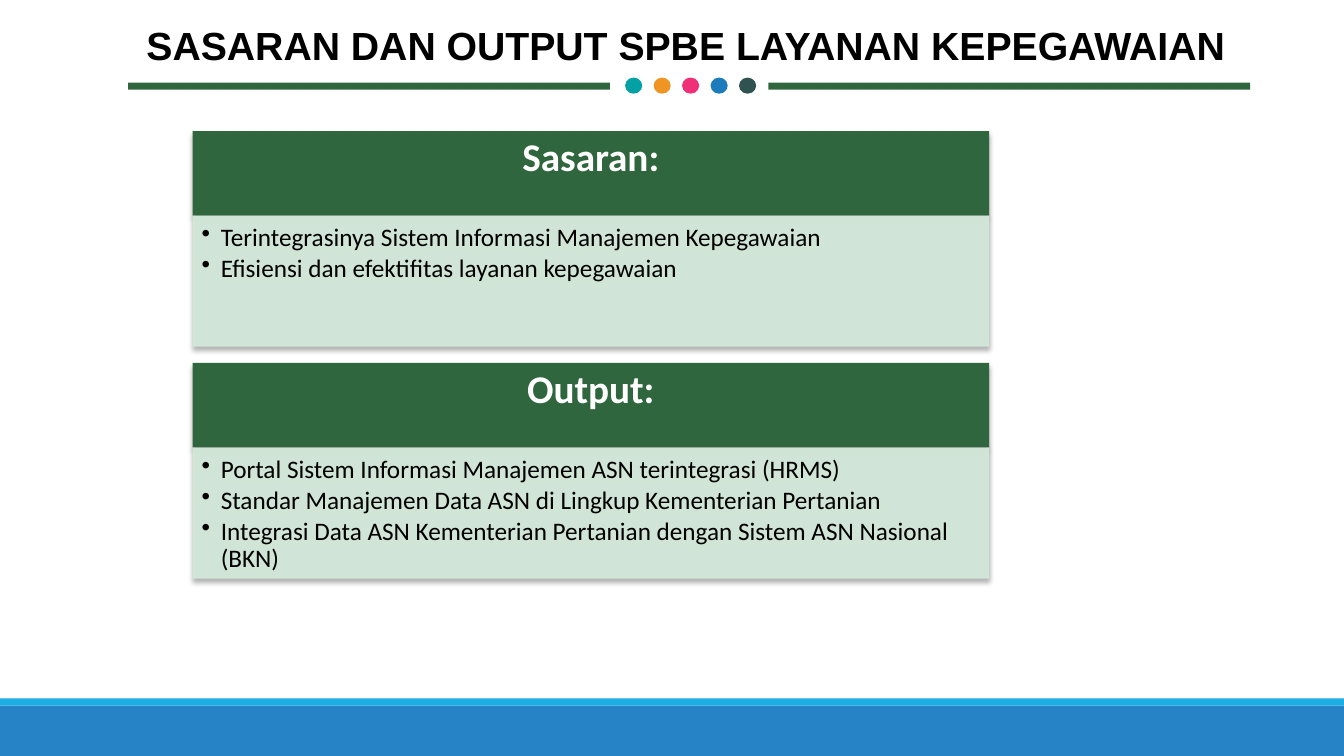
from lxml import etree
from pptx import Presentation
from pptx.dml.color import RGBColor
from pptx.enum.shapes import MSO_SHAPE
from pptx.enum.text import MSO_ANCHOR, PP_ALIGN
from pptx.oxml.ns import qn
from pptx.util import Inches, Pt

RECTANGLE, OVAL = MSO_SHAPE.RECTANGLE, MSO_SHAPE.OVAL
TOP = MSO_ANCHOR.TOP
LEFT, CENTER = PP_ALIGN.LEFT, PP_ALIGN.CENTER

GREEN, MINT = "2F663E", "D4EBDB"
DOT_COLORS = ["03A1A4", "EE9524", "EF3078", "1C7CBB", "305250"]
PANEL_LEFT, PANEL_WIDTH = 1.91, 7.9
HEADER_HEIGHT, BODY_HEIGHT = 0.84, 1.3
PANELS = [
    (1.3, "Sasaran:", [
        "Terintegrasinya Sistem Informasi Manajemen Kepegawaian",
        "Efisiensi dan efektifitas layanan kepegawaian",
    ]),
    (3.6, "Output:", [
        "Portal Sistem Informasi Manajemen ASN terintegrasi (HRMS)",
        "Standar Manajemen Data ASN di Lingkup Kementerian Pertanian",
        "Integrasi Data ASN Kementerian Pertanian dengan Sistem ASN Nasional (BKN)",
    ]),
]


def color(value):
    """Turn a hex string into a colour."""
    return RGBColor.from_string(value)


def add_block(slide, left, top, width, height, fill, kind=RECTANGLE):
    """Add a plain filled shape without outline or shadow."""
    shape = slide.shapes.add_shape(
        kind, Inches(left), Inches(top), Inches(width), Inches(height))
    shape.shadow.inherit = False
    shape.fill.solid()
    shape.fill.fore_color.rgb = color(fill)
    shape.line.fill.background()
    return shape


def add_shadow(shape):
    """Give a shape a soft shadow below it."""
    effects = shape._element.spPr.find(qn("a:effectLst"))
    shadow = etree.SubElement(
        effects, qn("a:outerShdw"), blurRad=str(Pt(3.5)), dist=str(Pt(2.2)),
        dir="5400000", algn="ctr", rotWithShape="0")
    black = etree.SubElement(shadow, qn("a:srgbClr"), val="000000")
    etree.SubElement(black, qn("a:alpha"), val="32000")


def set_opacity(shape, percent):
    """Make the solid fill of a shape partly transparent."""
    fill = shape._element.spPr.find(qn("a:solidFill"))
    etree.SubElement(fill[0], qn("a:alpha"), val=str(percent * 1000))


def add_bullet(para):
    """Give a paragraph a hanging round bullet."""
    properties = para._p.get_or_add_pPr()
    properties.set("marL", str(Inches(0.19)))
    properties.set("indent", str(Inches(-0.19)))
    etree.SubElement(properties, qn("a:buChar"), char="•")


def write(box, lines, size, ink="000000", font="Calibri", bold=False, align=LEFT,
          margins=(0.1, 0.05, 0.1, 0.05), spacing=1.0, after=0, bullets=False):
    """Write lines of text into a box, one paragraph each."""
    frame = box.text_frame
    frame.word_wrap = True
    frame.vertical_anchor = TOP
    (frame.margin_left, frame.margin_top,
     frame.margin_right, frame.margin_bottom) = map(Inches, margins)
    for index, line in enumerate(lines):
        para = frame.add_paragraph() if index else frame.paragraphs[0]
        if bullets:
            add_bullet(para)
        para.alignment = align
        para.line_spacing = spacing
        para.space_after = Pt(after)
        span = para.add_run()
        span.text = line
        span.font.name = font
        span.font.size = Pt(size)
        span.font.bold = bold
        span.font.color.rgb = color(ink)


def add_title(slide, text):
    """Add the slide title."""
    box = slide.shapes.add_textbox(
        Inches(0.72), Inches(0.16), Inches(12.16), Inches(0.57))
    write(box, [text], 28, font="Arial", bold=True, align=CENTER)


def add_divider(slide):
    """Add the row of dots between two green bars."""
    for index, fill in enumerate(DOT_COLORS):
        add_block(slide, 6.2 + 0.2825 * index, 0.77, 0.17, 0.16, fill, OVAL)
    for left in (1.27, 7.62):
        add_block(slide, left, 0.82, 4.78, 0.07, GREEN)


def add_panel(slide, top, heading, points):
    """Add a green heading with a bulleted body below it."""
    header = add_block(slide, PANEL_LEFT, top, PANEL_WIDTH, HEADER_HEIGHT, GREEN)
    body = add_block(slide, PANEL_LEFT, top + HEADER_HEIGHT,
                     PANEL_WIDTH, BODY_HEIGHT, MINT)
    set_opacity(body, 90)
    for shape in (header, body):
        add_shadow(shape)
    write(header, [heading], 28, ink="FFFFFF", bold=True, align=CENTER,
          margins=(0.12, 0.07, 0.12, 0.07), spacing=0.9)
    write(body, points, 18, margins=(0.09, 0.09, 0.12, 0.14),
          spacing=0.9, after=2.7, bullets=True)


def main():
    """Build the slide and save the deck."""
    deck = Presentation()
    deck.slide_width, deck.slide_height = Inches(13.33), Inches(7.5)
    slide = deck.slides.add_slide(deck.slide_layouts[6])
    add_block(slide, 0, 7, 13.33, 0.5, "2683C6")
    add_block(slide, 0, 6.93, 13.33, 0.07, "1CADE4")
    add_divider(slide)
    add_title(slide, "SASARAN DAN OUTPUT SPBE LAYANAN KEPEGAWAIAN")
    for top, heading, points in PANELS:
        add_panel(slide, top, heading, points)
    deck.save("out.pptx")


if __name__ == "__main__":
    main()
